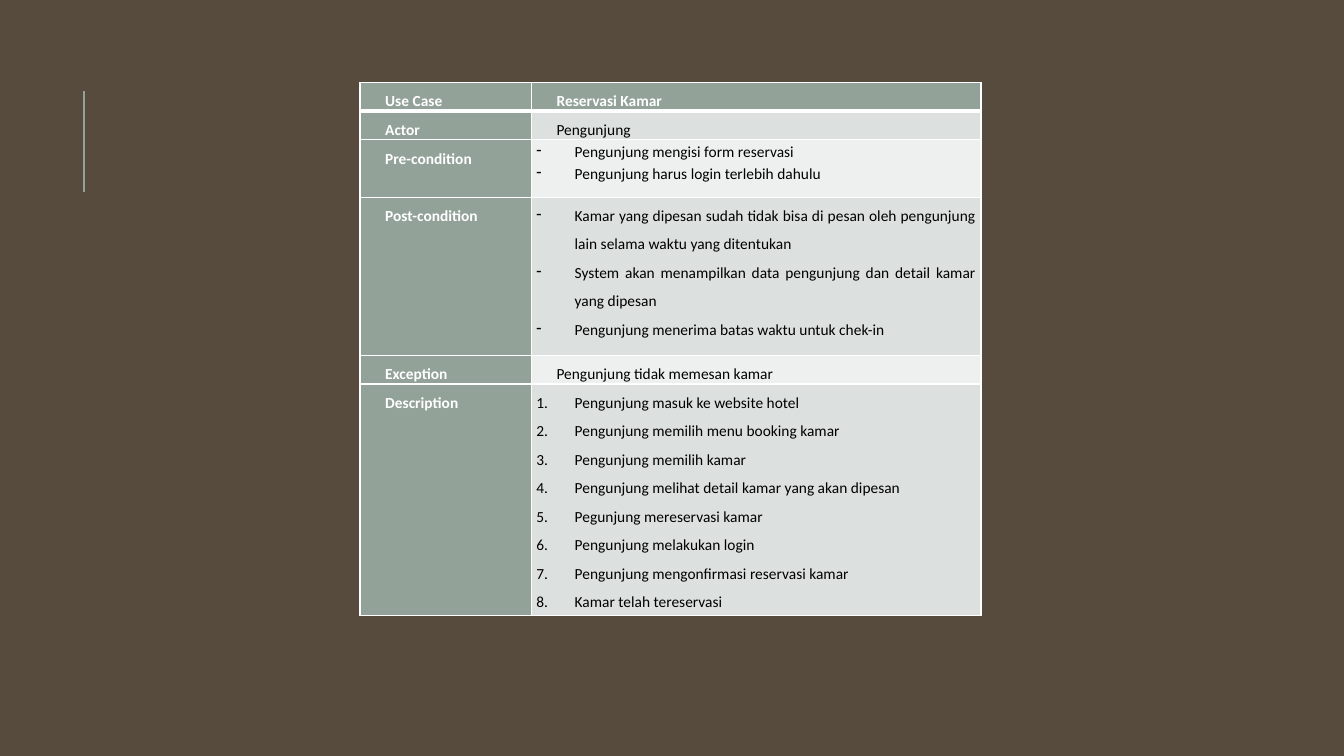
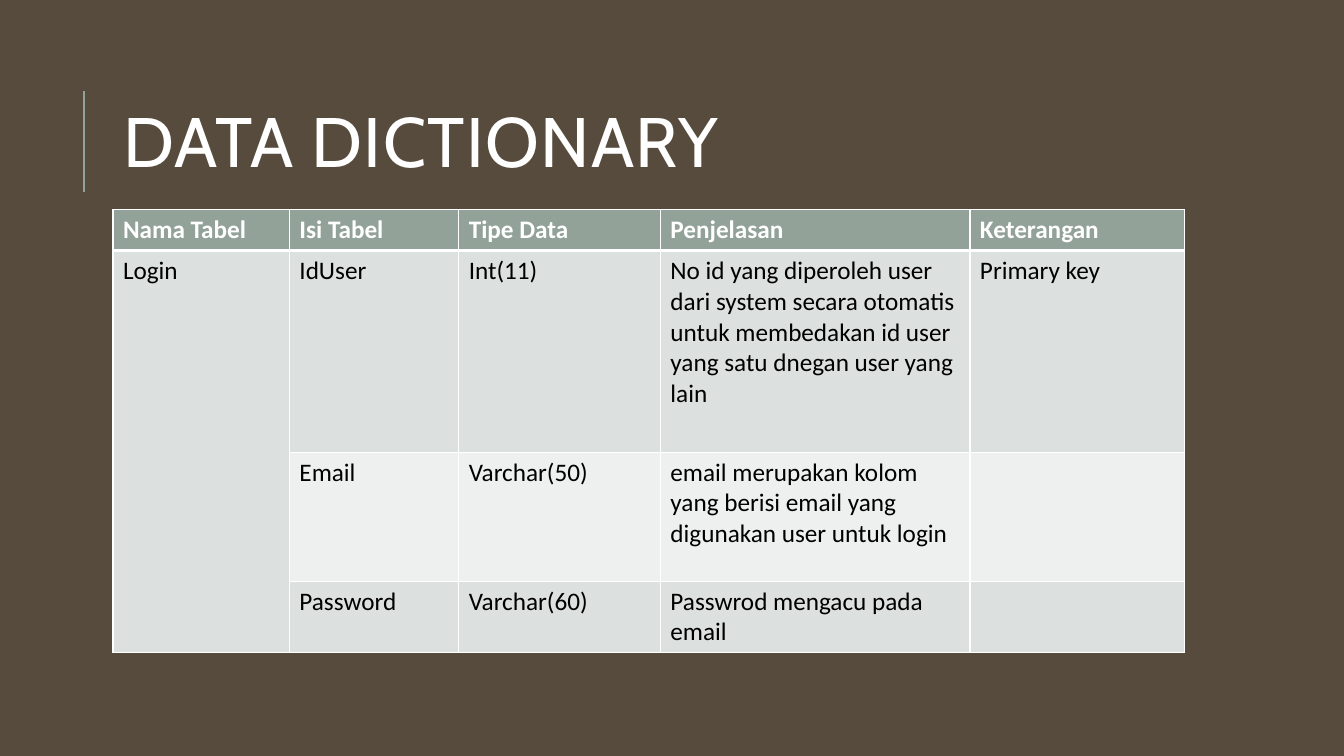
from lxml import etree
from pptx import Presentation
from pptx.dml.color import RGBColor
from pptx.enum.shapes import MSO_CONNECTOR
from pptx.enum.text import MSO_ANCHOR, PP_ALIGN
from pptx.oxml.ns import qn
from pptx.util import Inches, Pt

BROWN = RGBColor(0x56, 0x4B, 0x3C)
SAGE = RGBColor(0x93, 0xA2, 0x99)
BAND_DARK = RGBColor(0xDC, 0xE0, 0xDE)
BAND_LIGHT = RGBColor(0xEE, 0xF0, 0xEF)
WHITE = RGBColor(0xFF, 0xFF, 0xFF)
BLACK = RGBColor(0x00, 0x00, 0x00)
STRAIGHT = MSO_CONNECTOR.STRAIGHT
JUSTIFY = PP_ALIGN.JUSTIFY
LEFT = PP_ALIGN.LEFT
MIDDLE = MSO_ANCHOR.MIDDLE
TITLE_ONLY, BLANK = 5, 6


def set_borders(cell, row):
    properties = cell._tc.get_or_add_tcPr()
    widths = {"lnL": 1, "lnR": 1, "lnT": 3 if row == 1 else 1, "lnB": 3 if row == 0 else 1}
    for side, width in widths.items():
        line = etree.SubElement(properties, qn(f"a:{side}"), w=str(Pt(width)))
        fill = etree.SubElement(line, qn("a:solidFill"))
        etree.SubElement(fill, qn("a:srgbClr"), val=str(WHITE))


def add_grid(page, left, top, widths, heights, rows, size, header_columns=0):
    table = page.shapes.add_table(
        len(rows), len(widths), Inches(left), Inches(top),
        Inches(sum(widths)), Inches(sum(heights))).table
    for column, width in zip(table.columns, widths):
        column.width = Inches(width)
    for row, height in zip(table.rows, heights):
        row.height = Inches(height)
    for row_index, texts in enumerate(rows):
        band = BAND_DARK if row_index % 2 else BAND_LIGHT
        for column_index, text in enumerate(texts):
            header = row_index == 0 or column_index < header_columns
            cell = table.cell(row_index, column_index)
            set_borders(cell, row_index)
            cell.fill.solid()
            cell.fill.fore_color.rgb = SAGE if header else band
            cell.text = text
            for para in cell.text_frame.paragraphs:
                for span in para.runs:
                    span.font.color.rgb = WHITE if header else BLACK
                    for name, value in {"name": "Calibri", "size": Pt(size), "bold": header}.items():
                        setattr(span.font, name, value)
    return table


deck = Presentation()
deck.slide_width = Inches(13.33)
deck.slide_height = Inches(7.5)
background = deck.slide_master.background.fill
background.solid()
background.fore_color.rgb = BROWN

use_case_page, dictionary_page = [
    deck.slides.add_slide(deck.slide_layouts[index]) for index in (BLANK, TITLE_ONLY)]
for page in deck.slides:
    rule = page.shapes.add_connector(STRAIGHT, Inches(0.83), Inches(1.9), Inches(0.83), Inches(0.9))
    rule.line.color.rgb = SAGE
    rule.line.width = Pt(1.5)
    etree.SubElement(rule._element.spPr, qn("a:effectLst"))

use_case = [
    ("Use Case", ["Reservasi Kamar"]),
    ("Actor", ["Pengunjung"]),
    ("Pre-condition", [
        "Pengunjung mengisi form reservasi",
        "Pengunjung harus login terlebih dahulu"]),
    ("Post-condition", [
        "Kamar yang dipesan sudah tidak bisa di pesan oleh pengunjung lain selama waktu yang ditentukan",
        "System akan menampilkan data pengunjung dan detail kamar yang dipesan",
        "Pengunjung menerima batas waktu untuk chek-in"]),
    ("Exception", ["Pengunjung tidak memesan kamar"]),
    ("Description", [
        "Pengunjung masuk ke website hotel",
        "Pengunjung memilih menu booking kamar",
        "Pengunjung memilih kamar",
        "Pengunjung melihat detail kamar yang akan dipesan",
        "Pegunjung mereservasi kamar",
        "Pengunjung melakukan login",
        "Pengunjung mengonfirmasi reservasi kamar",
        "Kamar telah tereservasi"]),
]
use_case_table = add_grid(
    use_case_page, 3.57, 0.82, [1.7, 4.46], [0.26, 0.26, 0.57, 1.57, 0.26, 2.3],
    [(label, "\n".join(lines)) for label, lines in use_case], size=11, header_columns=1)
cell_margins = {"margin_left": 0.05, "margin_right": 0.05, "margin_top": 0, "margin_bottom": 0}
for row, (label, lines) in zip(use_case_table.rows, use_case):
    for cell in row.cells:
        for name, value in cell_margins.items():
            setattr(cell, name, Inches(value))
        paragraphs = cell.text_frame.paragraphs
        listed = len(paragraphs) > 1
        margin, indent = (0.38, -0.38) if listed else (0.5, -0.3)
        for para in paragraphs:
            para.alignment = JUSTIFY
            para.line_spacing = 1.15 if listed and label == "Pre-condition" else 1.5
            properties = para._p.get_or_add_pPr()
            properties.set("marL", str(Inches(margin)))
            properties.set("indent", str(Inches(indent)))
            if listed and label == "Description":
                etree.SubElement(properties, qn("a:buAutoNum"), type="arabicPeriod")
            elif listed:
                etree.SubElement(properties, qn("a:buChar"), char="-")

title = dictionary_page.shapes.title
title_place = {"left": 1.12, "top": 0.64, "width": 10.63, "height": 1.64}
for name, value in title_place.items():
    setattr(title, name, Inches(value))
title.text_frame.text = "DATA DICTIONARY"
title.text_frame.vertical_anchor = MIDDLE
para = title.text_frame.paragraphs[0]
para.alignment = LEFT
para.line_spacing = 0.8
span = para.runs[0]
span.font.name = "Cabin"
span.font.size = Pt(50)
span.font.color.rgb = WHITE
span._r.get_or_add_rPr().set("spc", "100")

dictionary = [
    ("Nama Tabel", "Isi Tabel", "Tipe Data", "Penjelasan", "Keterangan"),
    ("Login", "IdUser", "Int(11)",
     "No id yang diperoleh user dari system secara otomatis untuk membedakan "
     "id user yang satu dnegan user yang lain", "Primary key"),
    ("", "Email", "Varchar(50)",
     "email merupakan kolom yang berisi email yang digunakan user untuk login", ""),
    ("", "Password", "Varchar(60)", "Passwrod mengacu pada email", ""),
]
dictionary_table = add_grid(
    dictionary_page, 1.12, 2.08, [1.75, 1.68, 2, 3.07, 2.13], [0.4, 2, 1.28, 0.71],
    dictionary, size=18)
dictionary_table.cell(1, 0).merge(dictionary_table.cell(3, 0))

deck.save("out.pptx")
